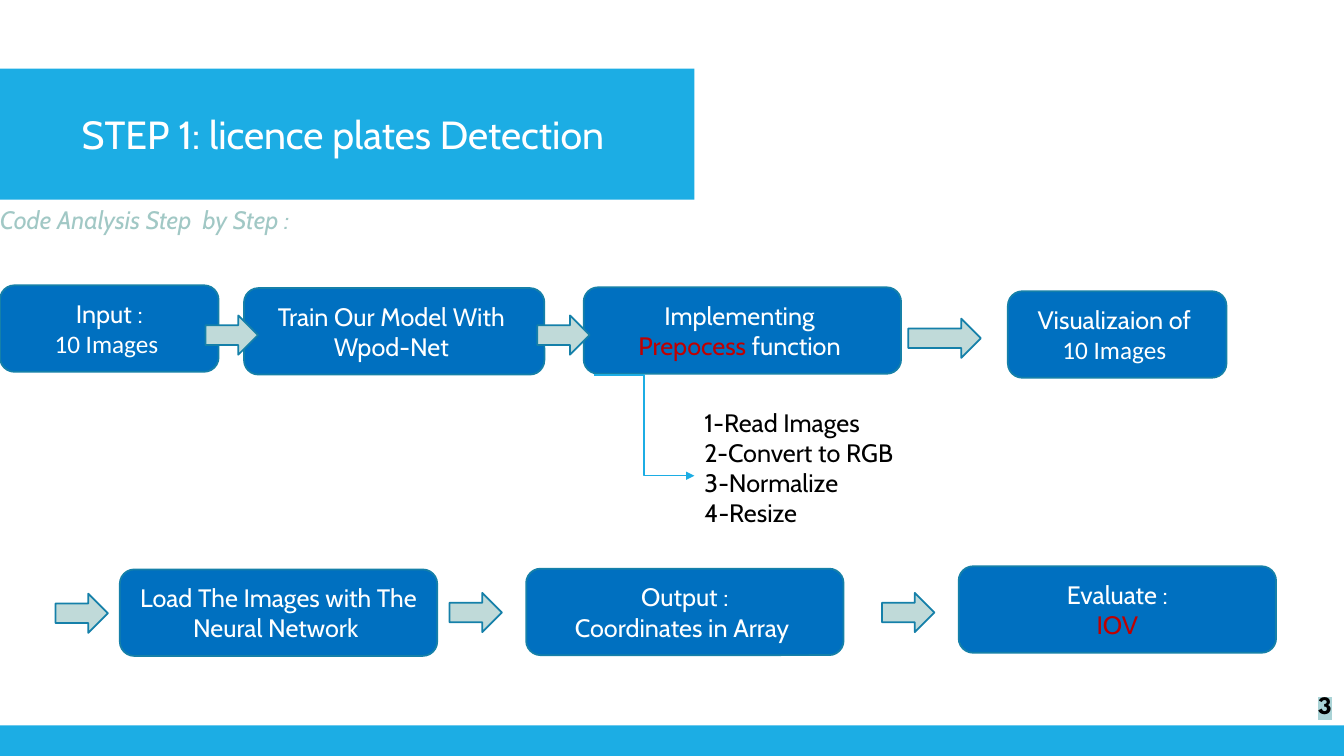
from dataclasses import dataclass

from lxml.etree import SubElement
from pptx import Presentation
from pptx.dml.color import RGBColor
from pptx.enum.shapes import MSO_CONNECTOR, MSO_SHAPE
from pptx.enum.text import MSO_ANCHOR, MSO_AUTO_SIZE, PP_ALIGN
from pptx.oxml.ns import qn
from pptx.util import Cm, Pt

COLORS = {
    "banner": "1CADE4",
    "step": "0070C0",
    "outline": "1580A9",
    "arrow": "C0DAD9",
    "subtitle": "A1C8C5",
    "accent": "C00000",
    "light": "FFFFFF",
    "dark": "000000",
    "highlight": "AAD3D6",
}
MAIN_FONT = "Cabin"
COUNT_FONT = "Calibri"
STEP_HEIGHT = 2.18
ARROW_HEIGHT = 0.99


@dataclass(frozen=True)
class Span:
    text: str
    color: str = "light"
    face: str = MAIN_FONT


@dataclass(frozen=True)
class Step:
    left: float
    top: float
    width: float
    lines: tuple[tuple[Span, ...], ...]


@dataclass(frozen=True)
class Arrow:
    left: float
    top: float
    width: float = 1.32


STEPS = (
    Step(6.15, 7.26, 7.57, ((Span("Train Our Model With "),), (Span("Wpod-Net "),))),
    Step(0, 7.19, 5.51, ((Span("Input :"),), (Span("10 Images ", face=COUNT_FONT),))),
    Step(14.71, 7.24, 8, ((Span("Implementing "),),
                          (Span("Prepocess", "accent"), Span(" function ")))),
    Step(25.4, 7.34, 5.51, ((Span("Visualizaion of "),),
                            (Span("10 Images ", face=COUNT_FONT),))),
    Step(3.02, 14.35, 8, ((Span("Load The Images with The Neural Network "),),)),
    Step(13.26, 14.33, 8, ((Span("Output :"),), (Span("Coordinates in Array "),))),
    Step(24.16, 14.27, 8, ((Span("Evaluate :"),), (Span("IOV", "accent"),))),
)
ARROWS = (
    Arrow(5.18, 7.95),
    Arrow(13.54, 7.95),
    Arrow(22.89, 8.03, 1.83),
    Arrow(1.4, 14.96),
    Arrow(11.33, 14.94),
    Arrow(22.23, 14.94),
)
PREPROCESSING = ("1-Read Images", "2-Convert to RGB", "3-Normalize", "4-Resize")


def rgb(name: str) -> RGBColor:
    return RGBColor.from_string(COLORS[name])


def style(font, color: str, face: str = MAIN_FONT, size: float = 18) -> None:
    font.name = face
    font.size = Pt(size)
    font.color.rgb = rgb(color)


def place(shape, left: float, top: float, width: float, height: float) -> None:
    shape.left, shape.top = Cm(left), Cm(top)
    shape.width, shape.height = Cm(width), Cm(height)


def paint(shape, color: str) -> None:
    shape.fill.solid()
    shape.fill.fore_color.rgb = rgb(color)


def add_block(slide, kind, left: float, top: float, width: float,
              height: float, fill: str, outlined: bool = True):
    block = slide.shapes.add_shape(kind, Cm(left), Cm(top), Cm(width), Cm(height))
    block.shadow.inherit = False
    paint(block, fill)
    if outlined:
        block.line.color.rgb = rgb("outline")
        block.line.width = Pt(1.25)
    else:
        block.line.fill.background()
    return block


def add_step(slide, step: Step) -> None:
    block = add_block(slide, MSO_SHAPE.ROUNDED_RECTANGLE, step.left, step.top,
                      step.width, STEP_HEIGHT, "step")
    frame = block.text_frame
    frame.word_wrap = True
    frame.vertical_anchor = MSO_ANCHOR.MIDDLE
    for index, line in enumerate(step.lines):
        paragraph = frame.add_paragraph() if index else frame.paragraphs[0]
        paragraph.alignment = PP_ALIGN.CENTER
        for span in line:
            run = paragraph.add_run()
            run.text = span.text
            target = paragraph.font if len(line) == 1 else run.font
            style(target, span.color, span.face)


def add_label(slide, text: str, left: float, top: float, width: float,
              color: str, face: str, wrap: bool):
    label = slide.shapes.add_textbox(Cm(left), Cm(top), Cm(width), Cm(1.02))
    label.text_frame.word_wrap = wrap
    paragraph = label.text_frame.paragraphs[0]
    paragraph.text = text
    style(paragraph.font, color, face)
    return paragraph


def fill_title(title) -> None:
    place(title, 0, 1.73, 17.5, 3.3)
    paint(title, "banner")
    frame = title.text_frame
    frame.text = "STEP 1: licence plates Detection "
    frame.auto_size = MSO_AUTO_SIZE.NONE
    frame.vertical_anchor = MSO_ANCHOR.MIDDLE
    frame.paragraphs[0].alignment = PP_ALIGN.CENTER
    style(frame.paragraphs[0].font, "light", size=28)


def fill_preprocessing(body) -> None:
    place(body, 17.5, 10.13, 8.76, 3.33)
    frame = body.text_frame
    frame.text = "\n".join(PREPROCESSING)
    frame.auto_size = MSO_AUTO_SIZE.NONE
    for paragraph in frame.paragraphs:
        paragraph.space_before = Pt(0)
        style(paragraph.font, "dark")
        properties = paragraph._p.get_or_add_pPr()
        properties.set("marL", "0")
        properties.set("indent", "0")
        properties.find(qn("a:defRPr")).addprevious(
            SubElement(properties, qn("a:buNone")))


def add_branch(slide) -> None:
    branch = slide.shapes.add_connector(
        MSO_CONNECTOR.ELBOW, Cm(14.96), Cm(9.45), Cm(17.5), Cm(11.99))
    branch.line.color.rgb = rgb("banner")
    branch.line.width = Pt(0.75)
    SubElement(branch.line._get_or_add_ln(), qn("a:tailEnd"), type="triangle")
    SubElement(branch._element.spPr, qn("a:effectLst"))


def add_page_number(slide) -> None:
    paragraph = add_label(slide, "3", 32.97, 17.25, 0.89, "dark",
                          "League Spartan", False)
    paragraph.font.bold = True
    properties = paragraph.runs[0]._r.get_or_add_rPr()
    highlight = SubElement(properties, qn("a:highlight"))
    SubElement(highlight, qn("a:srgbClr"), val=COLORS["highlight"])


def main() -> None:
    deck = Presentation()
    deck.slide_width, deck.slide_height = Cm(33.87), Cm(19.05)
    slide = deck.slides.add_slide(deck.slide_layouts[1])
    fill_title(slide.shapes.title)
    fill_preprocessing(slide.placeholders[1])
    add_block(slide, MSO_SHAPE.RECTANGLE, 0, 18.28, 33.87, 0.77, "banner", False)
    subtitle = add_label(slide, "Code Analysis Step  by Step :", -0.25, 5.03, 13.46,
                         "subtitle", MAIN_FONT, True)
    subtitle.font.italic = True
    for step in STEPS:
        add_step(slide, step)
    add_branch(slide)
    for arrow in ARROWS:
        add_block(slide, MSO_SHAPE.RIGHT_ARROW, arrow.left, arrow.top,
                  arrow.width, ARROW_HEIGHT, "arrow")
    add_page_number(slide)
    deck.save("out.pptx")


if __name__ == "__main__":
    main()
